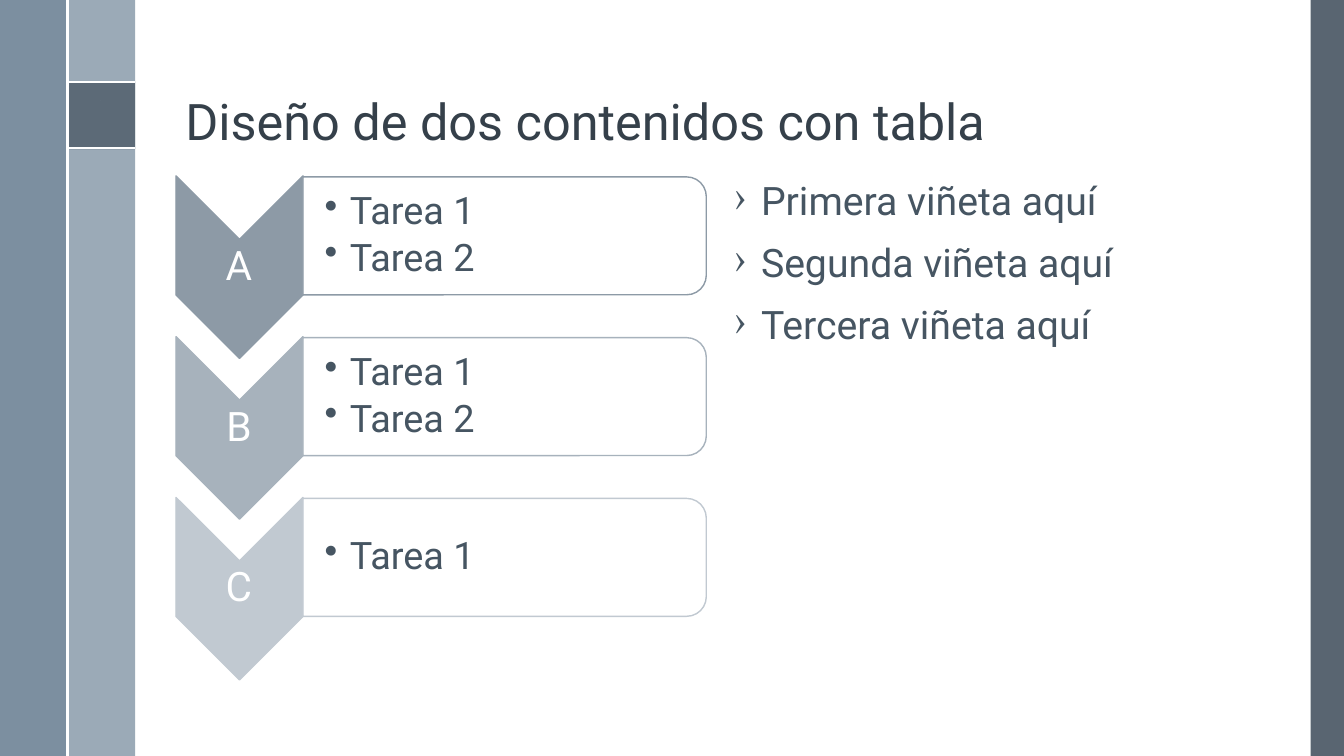
import dataclasses

import lxml.etree
import pptx
import pptx.dml.color
import pptx.enum.shapes
import pptx.enum.text
import pptx.oxml.ns
import pptx.util

Inches = pptx.util.Inches
Pt = pptx.util.Pt
Shape = pptx.enum.shapes.MSO_SHAPE
Anchor = pptx.enum.text.MSO_ANCHOR
Align = pptx.enum.text.PP_ALIGN
qn = pptx.oxml.ns.qn

FONT = "Roboto"
WHITE, SLATE, BODY_TEXT, TITLE_TEXT = "FFFFFF", "475562", "465562", "35404A"
STEP_PITCH = 3.19 / 2


@dataclasses.dataclass
class Panel:
    left: float
    top: float
    width: float
    height: float
    fill: str
    opacity: int = 100
    kind: int = Shape.RECTANGLE
    line: str = ""
    rotation: int = 0


@dataclasses.dataclass
class TextStyle:
    size: int
    color: str
    anchor: int = Anchor.TOP
    align: int = Align.LEFT
    insets: tuple[float, float, float, float] = (0.1, 0.05, 0.1, 0.05)
    before: int = 0
    after: int = 0
    bullet: str = ""
    indent: float = 0


@dataclasses.dataclass
class Step:
    letter: str
    color: str
    tasks: list[str]


TITLE = TextStyle(36, TITLE_TEXT, Anchor.BOTTOM)
BODY = TextStyle(28, BODY_TEXT, before=14, bullet="›", indent=0.27)
LETTER = TextStyle(29, WHITE, Anchor.MIDDLE, Align.CENTER, (0.02,) * 4)
TASK = TextStyle(27, BODY_TEXT, Anchor.MIDDLE, insets=(0.21, 0.02, 0.02, 0.02),
                 after=4, bullet="•", indent=0.25)

SIDEBARS = [
    Panel(13, 0, 0.33, 7.5, SLATE, 90),
    Panel(0.67, 0, 0.67, 7.5, "9BAAB7"),
    Panel(0, 0, 0.67, 7.5, "6A8093", 88),
    Panel(0.67, 0.81, 0.67, 0.67, SLATE, 75),
]
RULES = [(0.67, 0.81, 1.34, 0.81), (0.67, 1.47, 1.34, 1.47), (0.67, 0, 0.67, 7.5)]
STEPS = [
    Step("A", "8D9AA6", ["Tarea 1", "Tarea 2"]),
    Step("B", "A7B2BC", ["Tarea 1", "Tarea 2"]),
    Step("C", "C1C9D1", ["Tarea 1"]),
]
PI_START = (1.18, 0.98)
PI_SEGMENTS = [
    [(0.9, 0.98)],
    [(0.85, 0.98), (0.83, 1.03), (0.83, 1.04)],
    [(0.83, 1.04), (0.83, 1.05), (0.84, 1.05)],
    [(0.85, 1.05)],
    [(0.85, 1.05), (0.87, 1.01), (0.9, 1.01)],
    [(0.94, 1.01)],
    [(0.94, 1.05), (0.93, 1.22), (0.88, 1.27)],
    [(0.87, 1.28), (0.87, 1.28), (0.88, 1.29)],
    [(0.9, 1.29)],
    [(0.95, 1.23), (0.96, 1.05), (0.97, 1.01)],
    [(1.06, 1.01)],
    [(1.05, 1.22)],
    [(1.05, 1.22), (1.04, 1.26), (1.07, 1.29)],
    [(1.08, 1.3), (1.09, 1.3), (1.1, 1.3)],
    [(1.12, 1.3)],
    [(1.17, 1.3), (1.19, 1.23), (1.19, 1.22)],
    [(1.19, 1.22), (1.18, 1.21), (1.18, 1.21)],
    [(1.17, 1.21), (1.16, 1.21), (1.16, 1.22)],
    [(1.16, 1.22), (1.15, 1.27), (1.11, 1.28)],
    [(1.1, 1.28), (1.09, 1.28), (1.08, 1.27)],
    [(1.07, 1.26), (1.07, 1.23), (1.07, 1.22)],
    [(1.09, 1.01)],
    [(1.18, 1.01)],
    [(1.19, 1.01), (1.19, 1), (1.19, 1)],
    [(1.19, 0.99), (1.19, 0.98), (1.18, 0.98)],
]


def rgb(color: str) -> pptx.dml.color.RGBColor:
    return pptx.dml.color.RGBColor.from_string(color)


def paint(shape, fill: str, opacity: int = 100, line: str = "") -> None:
    shape.shadow.inherit = False
    shape.fill.solid()
    shape.fill.fore_color.rgb = rgb(fill)
    if opacity < 100:
        tone = shape.fill._xPr.find(".//" + qn("a:srgbClr"))
        lxml.etree.SubElement(tone, qn("a:alpha"), val=str(opacity * 1000))
    if line:
        shape.line.color.rgb = rgb(line)
        shape.line.width = Pt(1)
    else:
        shape.line.fill.background()


def draw_panel(page, panel: Panel) -> None:
    shape = page.shapes.add_shape(panel.kind, Inches(panel.left), Inches(panel.top),
                                  Inches(panel.width), Inches(panel.height))
    shape.rotation = panel.rotation
    paint(shape, panel.fill, panel.opacity, panel.line)


def draw_rule(page, ends: tuple[float, float, float, float]) -> None:
    rule = page.shapes.add_connector(pptx.enum.shapes.MSO_CONNECTOR.STRAIGHT,
                                     *map(Inches, ends))
    rule.line.color.rgb = rgb(WHITE)
    rule.line.width = Pt(1.5)
    lxml.etree.SubElement(rule._element.spPr, qn("a:effectLst"))


def bezier(start: tuple, first: tuple, second: tuple, end: tuple, t: float) -> tuple:
    u = 1 - t
    return tuple(u**3 * a + 3 * u * u * t * b + 3 * u * t * t * c + t**3 * d
                 for a, b, c, d in zip(start, first, second, end))


def draw_pi(page) -> None:
    points = [PI_START]
    for segment in PI_SEGMENTS:
        start = points[-1]
        if len(segment) == 1:
            points.extend(segment)
        else:
            points.extend(bezier(start, *segment, i / 6) for i in range(1, 7))
    builder = page.shapes.build_freeform(*PI_START, scale=Inches(1))
    builder.add_line_segments(points[1:], close=True)
    paint(builder.convert_to_shape(), WHITE)


def draw_text(page, left: float, top: float, width: float, height: float,
              lines: list[str], style: TextStyle) -> None:
    box = page.shapes.add_textbox(Inches(left), Inches(top), Inches(width), Inches(height))
    frame = box.text_frame
    frame.word_wrap = True
    frame.vertical_anchor = style.anchor
    (frame.margin_left, frame.margin_top,
     frame.margin_right, frame.margin_bottom) = map(Inches, style.insets)
    frame.text = "\n".join(lines)
    for para in frame.paragraphs:
        para.alignment = style.align
        para.line_spacing = 0.9
        para.space_before = Pt(style.before)
        para.space_after = Pt(style.after)
        if style.bullet:
            properties = para._p.get_or_add_pPr()
            properties.set("marL", str(Inches(style.indent)))
            properties.set("indent", str(-Inches(style.indent)))
            lxml.etree.SubElement(properties, qn("a:buChar"), char=style.bullet)
        para.font.name = FONT
        para.font.size = Pt(style.size)
        para.font.color.rgb = rgb(style.color)


def draw_step(page, step: Step, drop: float) -> None:
    draw_panel(page, Panel(1.47, 2.02 + drop, 1.81, 1.26, step.color,
                           kind=Shape.CHEVRON, line=step.color, rotation=90))
    draw_text(page, 1.74, 2.38 + drop, 1.26, 0.54, [step.letter], LETTER)
    draw_panel(page, Panel(4.42, 0.34 + drop, 1.17, 4, WHITE, 90,
                           Shape.ROUND_2_SAME_RECTANGLE, step.color, 90))
    draw_text(page, 3.01, 1.81 + drop, 3.94, 1.06, step.tasks, TASK)


deck = pptx.Presentation()
deck.slide_width, deck.slide_height = Inches(13.33), Inches(7.5)
page = deck.slides.add_slide(deck.slide_layouts[6])

for sidebar in SIDEBARS:
    draw_panel(page, sidebar)
for ends in RULES:
    draw_rule(page, ends)
draw_pi(page)
draw_text(page, 1.74, 0.19, 10.7, 1.36, ["Diseño de dos contenidos con tabla"], TITLE)
draw_text(page, 7.18, 1.75, 5.27, 5,
          [f"{rank} viñeta aquí" for rank in ("Primera", "Segunda", "Tercera")], BODY)
for index, step in enumerate(STEPS):
    draw_step(page, step, index * STEP_PITCH)

deck.save("out.pptx")
